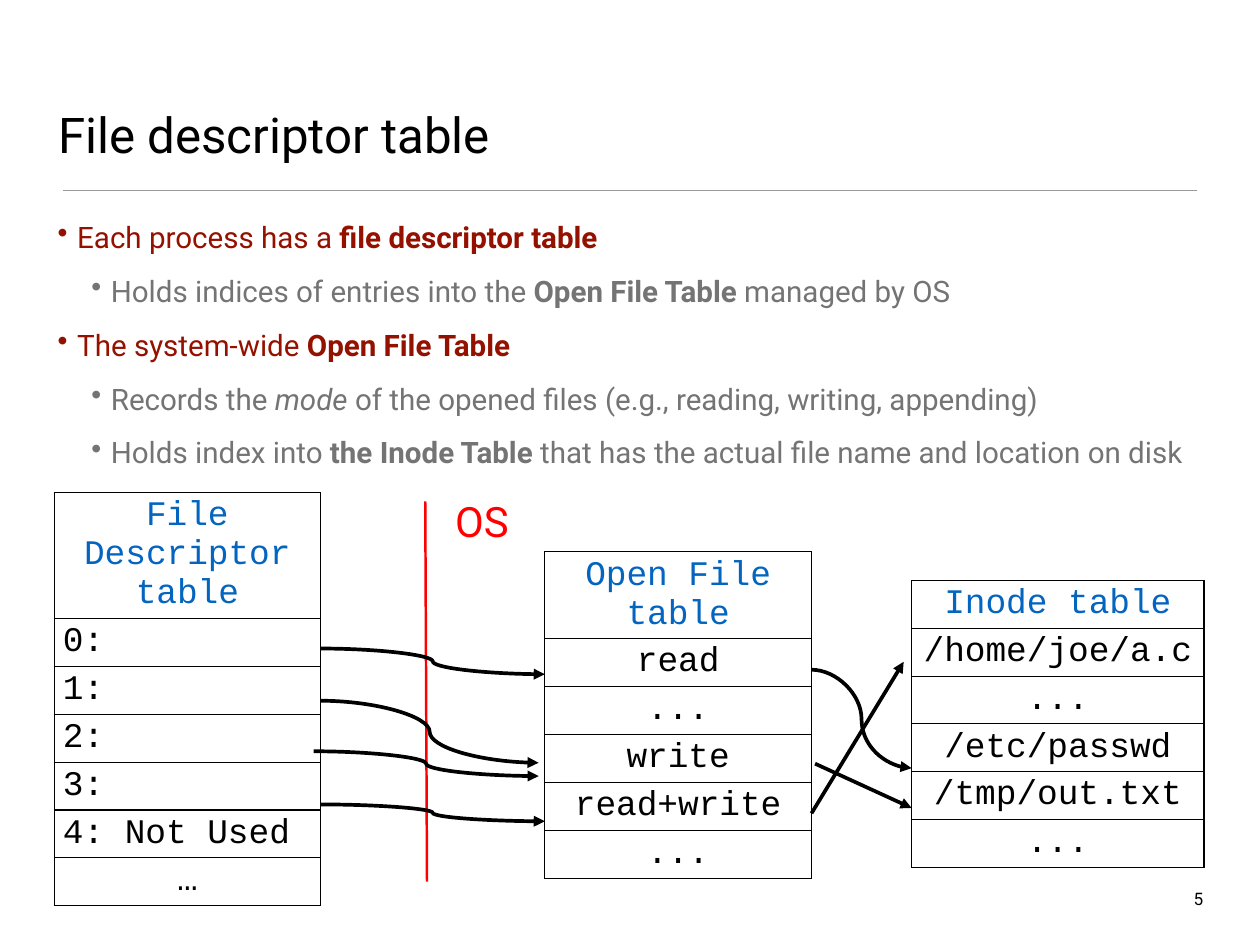
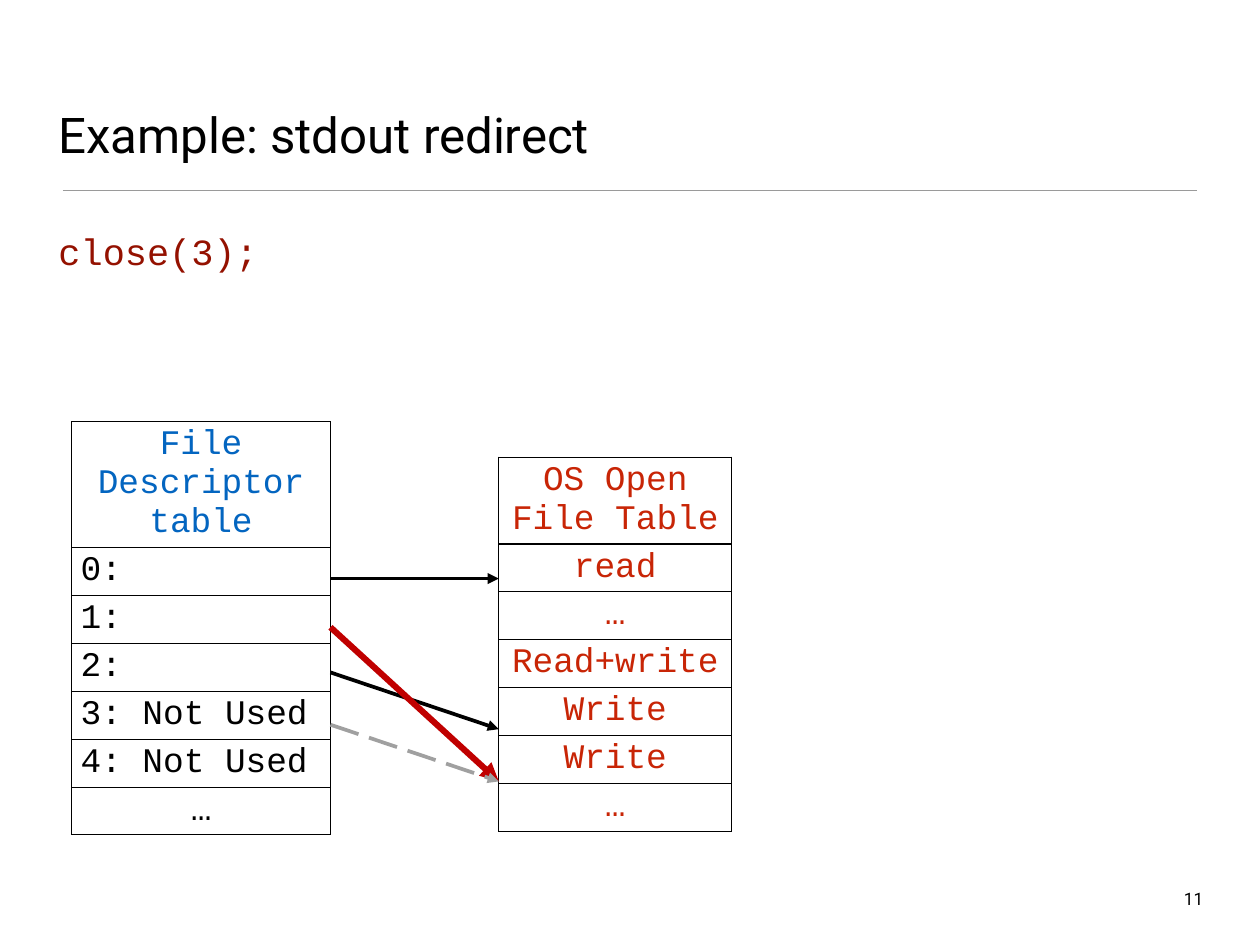
from lxml.etree import SubElement
from pptx import Presentation
from pptx.dml.color import RGBColor
from pptx.enum.dml import MSO_LINE
from pptx.enum.shapes import MSO_CONNECTOR
from pptx.enum.text import MSO_ANCHOR, MSO_AUTO_SIZE, PP_ALIGN
from pptx.oxml.ns import qn
from pptx.util import Inches, Pt

BLACK = RGBColor(0x00, 0x00, 0x00)
RULE = RGBColor(0x9A, 0x9A, 0x9A)
MAROON = RGBColor(0x94, 0x11, 0x00)
GREY = RGBColor(0x74, 0x74, 0x74)
RED = RGBColor(0xFF, 0x00, 0x00)
BLUE = RGBColor(0x03, 0x65, 0xC0)
BRICK = RGBColor(0xC8, 0x25, 0x06)
CRIMSON = RGBColor(0xC0, 0x00, 0x00)
PALE = RGBColor(0xA0, 0xA0, 0xA0)
SANS, MONO = "Roboto", "Courier New"

COLS, ROWS = 128, 96
CELL = Pt(8)
ROW, LINE = 4.86, 3.96
LEFT, CENTER, RIGHT = PP_ALIGN.LEFT, PP_ALIGN.CENTER, PP_ALIGN.RIGHT


def grid(*sizes):
    return [round(size * CELL) for size in sizes]


def style(para, size, color, face=SANS, align=LEFT):
    para.alignment = align
    para.font.size = Pt(size)
    para.font.name = face
    para.font.color.rgb = color


def frame(shape, anchor=MSO_ANCHOR.TOP, wrap=True):
    text = shape.text_frame
    text.auto_size = MSO_AUTO_SIZE.NONE
    text.word_wrap = wrap
    text.vertical_anchor = anchor
    text.margin_left = text.margin_right = Inches(0.04)
    text.margin_top = text.margin_bottom = Inches(0.04)
    return text


def label(slide, box, words, size, color, align, anchor=MSO_ANCHOR.TOP, wrap=True):
    text = frame(slide.shapes.add_textbox(*grid(*box)), anchor, wrap)
    text.text = words
    style(text.paragraphs[0], size, color, align=align)


def link(slide, origin, ends, color=BLACK, width=3, curve=False, head=True, dash=None):
    x, y = origin
    x1, y1, x2, y2 = ends
    kind = MSO_CONNECTOR.CURVE if curve else MSO_CONNECTOR.STRAIGHT
    line = slide.shapes.add_connector(kind, *grid(x + x1, y + y1, x + x2, y + y2))
    line.line.color.rgb = color
    line.line.width = Pt(width)
    if dash:
        line.line.dash_style = dash
    props = line.element.spPr
    if head:
        SubElement(props.find(qn("a:ln")), qn("a:tailEnd"), type="triangle")
    SubElement(props, qn("a:effectLst"))


def border(cell):
    props = cell._tc.get_or_add_tcPr()
    for side in ("a:lnL", "a:lnR", "a:lnT", "a:lnB"):
        edge = SubElement(props, qn(side), w=str(Pt(1)))
        fill = SubElement(edge, qn("a:solidFill"))
        SubElement(fill, qn("a:srgbClr"), val=str(BLACK))


def table(slide, origin, box, lines, words, head=BLUE, body=BLACK, index=False):
    x, y, width = box
    top = ROW + (lines - 1) * LINE
    place = grid(origin[0] + x, origin[1] + y, width, top + ROW * (len(words) - 1))
    shape = slide.shapes.add_table(len(words), 1, *place)
    data = shape.table
    data.first_row = data.horz_banding = False
    for i, word in enumerate(words):
        data.rows[i].height = grid(ROW if i else top)[0]
        cell = data.cell(i, 0)
        border(cell)
        cell.fill.background()
        cell.text = word
        align = LEFT if index and 0 < i < len(words) - 1 else CENTER
        for para in cell.text_frame.paragraphs:
            style(para, 28, body if i else head, MONO, align)


def base(deck, title, number):
    slide = deck.slides.add_slide(deck.slide_layouts[5])
    link(slide, (0, 0), (6.4, 19.35, 121.6, 19.35), RULE, 1, head=False)
    name = slide.shapes.title
    name.left, name.top, name.width, name.height = grid(5.58, 3.24, 116.75, 13.75)
    text = frame(name, MSO_ANCHOR.BOTTOM)
    text.text = title
    style(text.paragraphs[0], 40, BLACK)
    label(slide, (119.8, 89.9, 2.8, 2.7), number, 14, BLACK, RIGHT, wrap=False)
    return slide


def bullets(slide, box, items):
    text = frame(slide.shapes.add_textbox(*grid(*box)))
    for i, (level, parts) in enumerate(items):
        para = text.paragraphs[0] if i == 0 else text.add_paragraph()
        para.level = level
        para.space_before = Pt(15)
        style(para, 24, GREY if level else MAROON)
        props = para._p.get_or_add_pPr()
        props.set("marL", str(Inches(0.6 if level else 0.22)))
        props.set("indent", str(Inches(-0.22)))
        mark = SubElement(props, qn("a:buChar"), char="•")
        props.find(qn("a:defRPr")).addprevious(mark)
        for words, kind in parts:
            run = para.add_run()
            run.text = words
            if kind == "b":
                run.font.bold = True
            if kind == "i":
                run.font.italic = True


def code(slide, box, words):
    text = frame(slide.shapes.add_textbox(*grid(*box)))
    text.text = words
    para = text.paragraphs[0]
    para.space_before = Pt(15)
    style(para, 30, MAROON, MONO)


def lookup(slide, origin):
    x, y = origin
    wide, mid, far = 27.09, 49.86, 87.12
    link(slide, origin, (37.71, 0.9, 37.89, 39.51), RED, 2, head=False)
    label(slide, (x + 38.25, y - 2.34, 10.44, 10.44), "OS", 34, RED, CENTER,
          MSO_ANCHOR.MIDDLE)
    table(slide, origin, (0, 0, wide), 3,
          ["File Descriptor table", "0:", "1:", "2:", "3:", "4: Not Used", "…"],
          index=True)
    table(slide, origin, (mid, 6.03, wide), 2,
          ["Open File table", "read", "...", "write", "read+write", "..."])
    for ends in ((wide, 15.84, mid, 18.45), (wide, 31.68, mid, 33.39),
                 (wide, 21.15, 49.23, 27.45), (26.37, 26.28, 49.23, 28.8),
                 (mid + wide, 18, far, 28)):
        link(slide, origin, ends, curve=True)
    for ends in ((mid + wide, 32.58, 86.31, 17.19), (77.31, 27.54, far, 32.04)):
        link(slide, origin, ends)
    table(slide, origin, (far, 8.91, 29.7), 1,
          ["Inode table", "/home/joe/a.c", "...", "/etc/passwd", "/tmp/out.txt", "..."])


def redirect(slide, origin):
    wide, mid = 26.28, 43.38
    table(slide, origin, (0, 0, wide), 3,
          ["File Descriptor table", "0:", "1:", "2:", "3: Not Used", "4: Not Used", "…"],
          index=True)
    table(slide, origin, (mid, 3.6, 23.67), 2,
          ["OS Open\nFile Table", "read", "…", "Read+write", "Write", "Write", "…"],
          BRICK, BRICK)
    for start, end, color, width, dash in (
            (15.93, 15.93, BLACK, 3, None), (25.47, 31.23, BLACK, 3, None),
            (20.88, 36.54, CRIMSON, 5, None),
            (30.78, 36.54, PALE, 3, MSO_LINE.LONG_DASH)):
        link(slide, origin, (wide, start, mid, end), color, width, dash=dash)


def main():
    deck = Presentation()
    deck.slide_width, deck.slide_height = grid(COLS, ROWS)

    slide = base(deck, "File descriptor table", "5")
    bullets(slide, (5.5, 21.87, 116.75, 64.6), [
        (0, [("Each process has a ", ""), ("file descriptor table", "b")]),
        (1, [("Holds indices of entries into the ", ""), ("Open File Table ", "b"),
             ("managed by OS", "")]),
        (0, [("The system-wide ", ""), ("Open File Table", "b")]),
        (1, [("Records the ", ""), ("mode", "i"),
             (" of the opened files (e.g., reading, writing, appending)", "")]),
        (1, [("Holds index into ", ""), ("the Inode Table ", "b"),
             ("that has the actual file name and location on disk", "")]),
    ])
    lookup(slide, (5.49, 50.04))

    slide = base(deck, "Example: stdout redirect", "11")
    code(slide, (5.58, 22.86, 116.75, 64.6), "close(3);")
    redirect(slide, (7.29, 42.84))

    deck.save("out.pptx")


if __name__ == "__main__":
    main()
